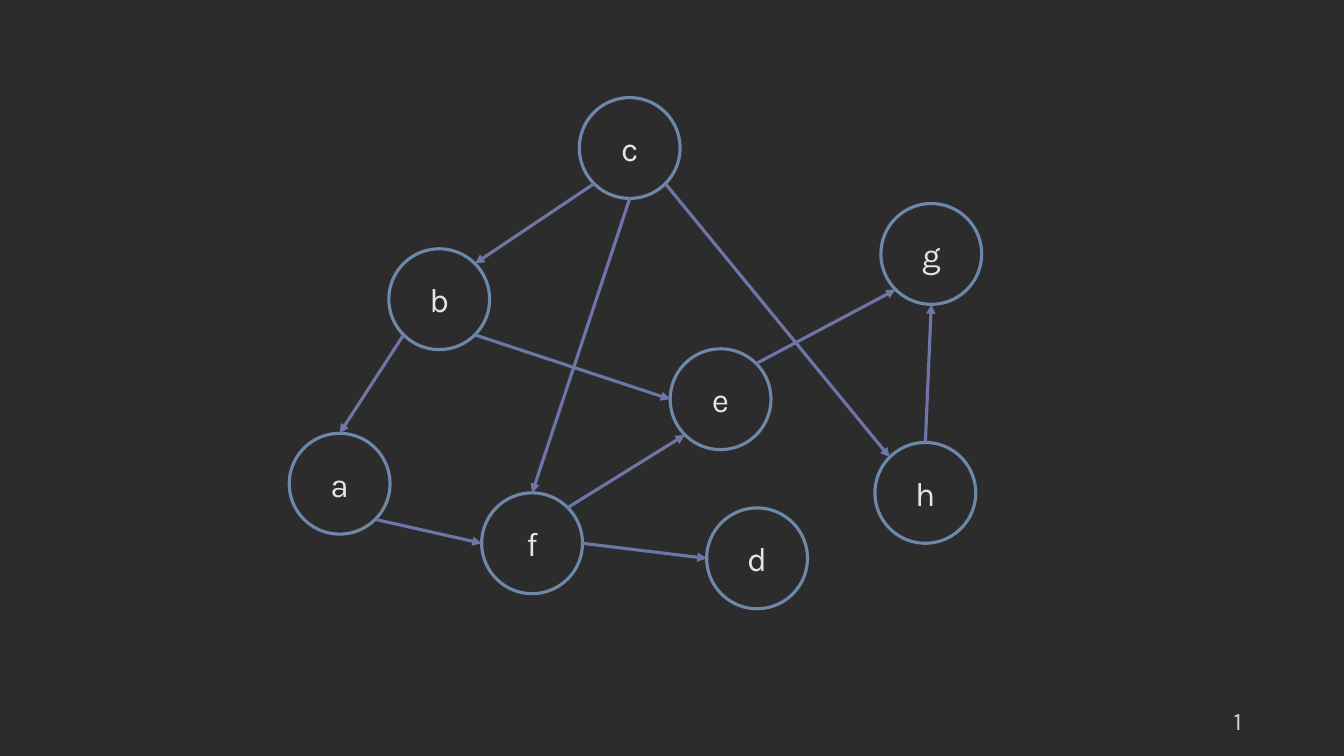
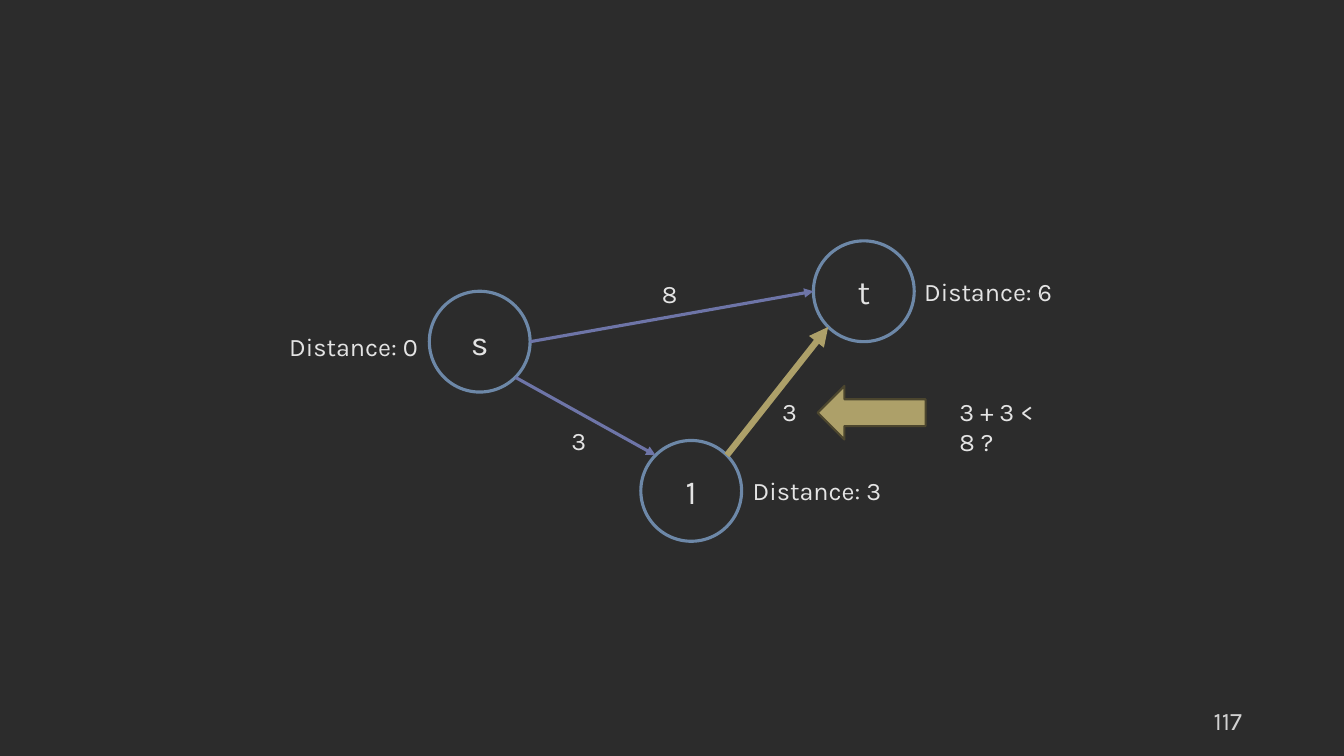
from dataclasses import dataclass
from enum import IntEnum
from math import cos, radians, sin

from lxml import etree
from pptx import Presentation
from pptx.dml.color import RGBColor
from pptx.enum.shapes import MSO_CONNECTOR, MSO_SHAPE
from pptx.enum.text import MSO_ANCHOR, PP_ALIGN
from pptx.oxml.ns import qn
from pptx.shapes.autoshape import Shape
from pptx.slide import Slide
from pptx.util import Cm, Pt

OVAL = MSO_SHAPE.OVAL
DOWN_ARROW = MSO_SHAPE.DOWN_ARROW
STRAIGHT = MSO_CONNECTOR.STRAIGHT
LEFT, CENTER, RIGHT = PP_ALIGN.LEFT, PP_ALIGN.CENTER, PP_ALIGN.RIGHT
TOP, MIDDLE = MSO_ANCHOR.TOP, MSO_ANCHOR.MIDDLE
BLANK_LAYOUT = 6
DIAMETER = 2.54


class Site(IntEnum):
    TOP = 0
    TOP_LEFT = 1
    LEFT = 2
    BOTTOM_LEFT = 3
    BOTTOM = 4
    BOTTOM_RIGHT = 5
    RIGHT = 6
    TOP_RIGHT = 7


@dataclass(frozen=True)
class Theme:
    font: str = "Karla"
    background: RGBColor = RGBColor.from_string("2C2C2C")
    text: RGBColor = RGBColor.from_string("E4E4E4")
    page_number: RGBColor = RGBColor.from_string("D1D1D1")
    node: RGBColor = RGBColor.from_string("6D88A8")
    edge: RGBColor = RGBColor.from_string("6E75A8")
    highlight: RGBColor = RGBColor.from_string("ADA069")
    highlight_border: RGBColor = RGBColor.from_string("4C462E")
    node_size: int = 24
    label_size: int = 18
    line_width: float = 2.25
    highlight_width: float = 4.5
    border_width: float = 1.5


THEME = Theme()


@dataclass(frozen=True)
class Node:
    name: str
    left: float
    top: float


@dataclass(frozen=True)
class Edge:
    start: str
    start_site: Site
    end: str
    end_site: Site
    highlighted: bool = False


@dataclass(frozen=True)
class Label:
    text: str
    left: float
    top: float
    width: float
    wrap: bool = False


@dataclass(frozen=True)
class Graph:
    page: str
    nodes: tuple[Node, ...]
    edges: tuple[Edge, ...]


DIRECTED_GRAPH = Graph(
    "1",
    (
        Node("f", 12.14, 12.42),
        Node("a", 7.29, 10.92),
        Node("b", 9.8, 6.27),
        Node("c", 14.6, 2.46),
        Node("d", 17.81, 12.8),
        Node("g", 22.2, 5.13),
        Node("e", 16.89, 8.79),
        Node("h", 22.05, 11.15),
    ),
    (
        Edge("c", Site.BOTTOM_LEFT, "b", Site.TOP_RIGHT),
        Edge("c", Site.BOTTOM, "f", Site.TOP),
        Edge("b", Site.BOTTOM_RIGHT, "e", Site.LEFT),
        Edge("b", Site.BOTTOM_LEFT, "a", Site.TOP),
        Edge("f", Site.TOP_RIGHT, "e", Site.BOTTOM_LEFT),
        Edge("f", Site.RIGHT, "d", Site.LEFT),
        Edge("e", Site.TOP_RIGHT, "g", Site.BOTTOM_LEFT),
        Edge("c", Site.BOTTOM_RIGHT, "h", Site.TOP_LEFT),
        Edge("h", Site.TOP, "g", Site.BOTTOM),
        Edge("a", Site.BOTTOM_RIGHT, "f", Site.LEFT),
    ),
)

SHORTEST_PATH = Graph(
    "117",
    (
        Node("s", 10.82, 7.34),
        Node("1", 16.15, 11.1),
        Node("t", 20.5, 6.07),
    ),
    (
        Edge("s", Site.RIGHT, "t", Site.LEFT),
        Edge("s", Site.BOTTOM_RIGHT, "1", Site.TOP_LEFT),
        Edge("1", Site.TOP_RIGHT, "t", Site.BOTTOM_LEFT, highlighted=True),
    ),
)

DISTANCE_WIDTH = 3.76
WEIGHT_WIDTH = 0.86
PATH_LABELS = (
    Label("Distance: 6", 23.04, 6.83, DISTANCE_WIDTH),
    Label("Distance: 3", 18.72, 11.86, DISTANCE_WIDTH),
    Label("Distance: 0", 7.04, 8.23, DISTANCE_WIDTH),
    Label("3", 19.46, 9.86, WEIGHT_WIDTH),
    Label("3", 14.15, 10.59, WEIGHT_WIDTH),
    Label("8", 16.43, 6.88, WEIGHT_WIDTH),
    Label("3 + 3 < 8 ?", 23.93, 9.86, 3.33, wrap=True),
)


def write_text(shape: Shape, text: str, size: int, color: RGBColor,
               alignment: PP_ALIGN, anchor: MSO_ANCHOR) -> None:
    frame = shape.text_frame
    frame.vertical_anchor = anchor
    paragraph = frame.paragraphs[0]
    paragraph.text = text
    paragraph.alignment = alignment
    paragraph.font.name = THEME.font
    paragraph.font.size = Pt(size)
    paragraph.font.color.rgb = color


def add_label(slide: Slide, label: Label, color: RGBColor = THEME.text,
              alignment: PP_ALIGN = LEFT, anchor: MSO_ANCHOR = TOP) -> None:
    box = slide.shapes.add_textbox(Cm(label.left), Cm(label.top), Cm(label.width), Cm(1.02))
    box.text_frame.word_wrap = label.wrap
    write_text(box, label.text, THEME.label_size, color, alignment, anchor)


def add_node(slide: Slide, node: Node) -> Shape:
    circle = slide.shapes.add_shape(
        OVAL, Cm(node.left), Cm(node.top), Cm(DIAMETER), Cm(DIAMETER))
    circle.shadow.inherit = False
    circle.fill.background()
    circle.line.color.rgb = THEME.node
    circle.line.width = Pt(THEME.line_width)
    write_text(circle, node.name, THEME.node_size, THEME.text, CENTER, MIDDLE)
    return circle


def site_point(circle: Shape, site: Site) -> tuple[int, int]:
    angle = radians(90 + 45 * site)
    radius = circle.width / 2
    return (round(circle.left + radius * (1 + cos(angle))),
            round(circle.top + radius * (1 - sin(angle))))


def add_edge(slide: Slide, edge: Edge, circles: dict[str, Shape]) -> None:
    start, end = circles[edge.start], circles[edge.end]
    connector = slide.shapes.add_connector(
        STRAIGHT, *site_point(start, edge.start_site), *site_point(end, edge.end_site))
    connector.line.color.rgb = THEME.highlight if edge.highlighted else THEME.edge
    connector.line.width = Pt(
        THEME.highlight_width if edge.highlighted else THEME.line_width)
    properties = connector._element.spPr
    etree.SubElement(properties.find(qn("a:ln")), qn("a:tailEnd"), type="triangle")
    etree.SubElement(properties, qn("a:effectLst"))
    joints = connector._element.find(".//" + qn("p:cNvCxnSpPr"))
    for tag, circle, site in (("a:stCxn", start, edge.start_site),
                              ("a:endCxn", end, edge.end_site)):
        etree.SubElement(joints, qn(tag), id=str(circle.shape_id), idx=str(site.value))


def add_graph_slide(presentation: Presentation, graph: Graph) -> Slide:
    slide = presentation.slides.add_slide(presentation.slide_layouts[BLANK_LAYOUT])
    add_label(slide, Label(graph.page, 23.93, 17.65, 7.62, wrap=True),
              THEME.page_number, RIGHT, MIDDLE)
    circles = {node.name: add_node(slide, node) for node in graph.nodes}
    for edge in graph.edges:
        add_edge(slide, edge, circles)
    return slide


def add_pointer(slide: Slide) -> None:
    arrow = slide.shapes.add_shape(DOWN_ARROW, Cm(21.29), Cm(9.04), Cm(1.35), Cm(2.72))
    arrow.rotation = 90
    arrow.shadow.inherit = False
    arrow.fill.solid()
    arrow.fill.fore_color.rgb = THEME.highlight
    arrow.line.color.rgb = THEME.highlight_border
    arrow.line.width = Pt(THEME.border_width)


def main() -> None:
    presentation = Presentation()
    presentation.slide_width = Cm(33.87)
    presentation.slide_height = Cm(19.05)
    background = presentation.slide_master.background.fill
    background.solid()
    background.fore_color.rgb = THEME.background

    add_graph_slide(presentation, DIRECTED_GRAPH)
    path_slide = add_graph_slide(presentation, SHORTEST_PATH)
    for label in PATH_LABELS:
        add_label(path_slide, label)
    add_pointer(path_slide)
    presentation.save("out.pptx")


if __name__ == "__main__":
    main()
